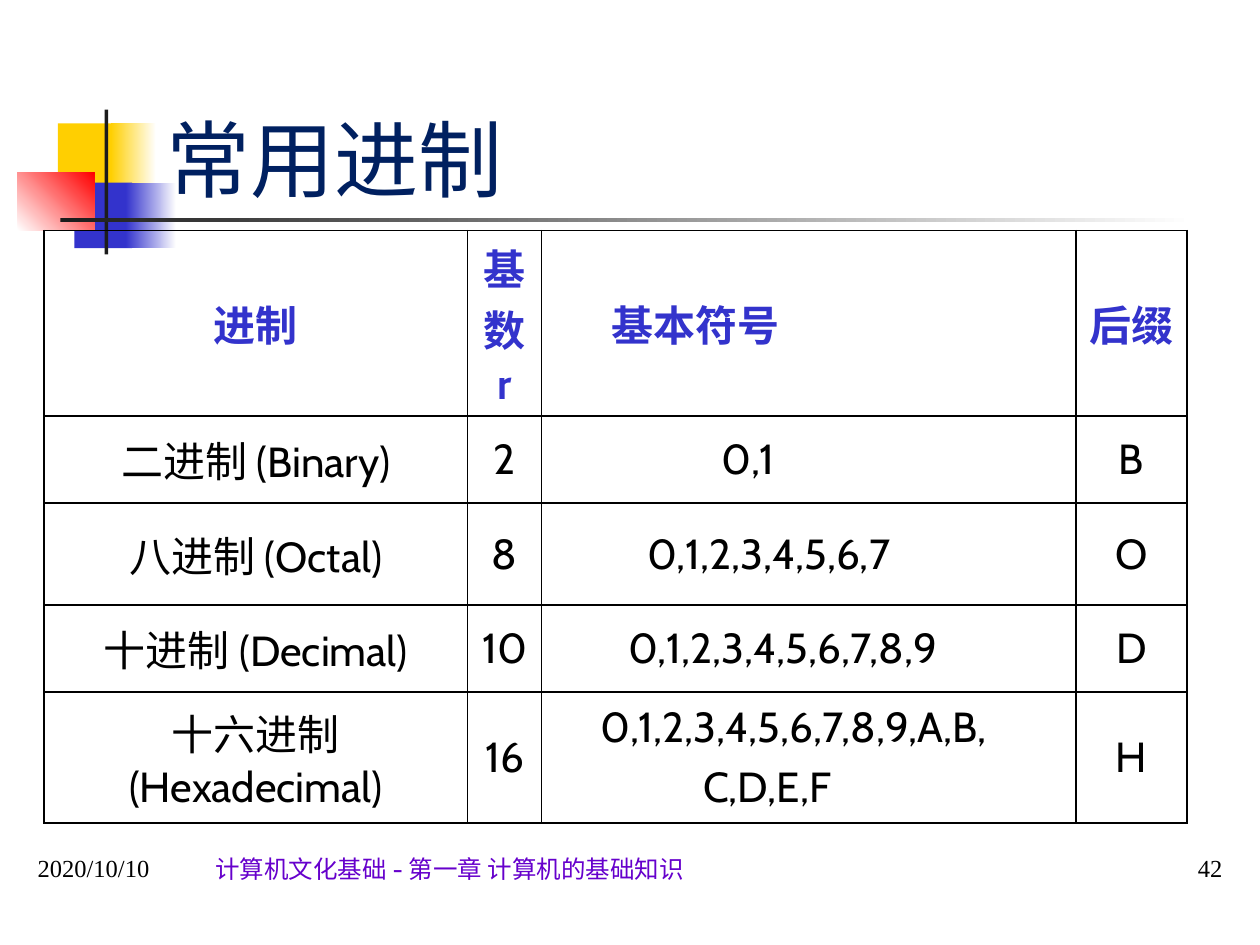
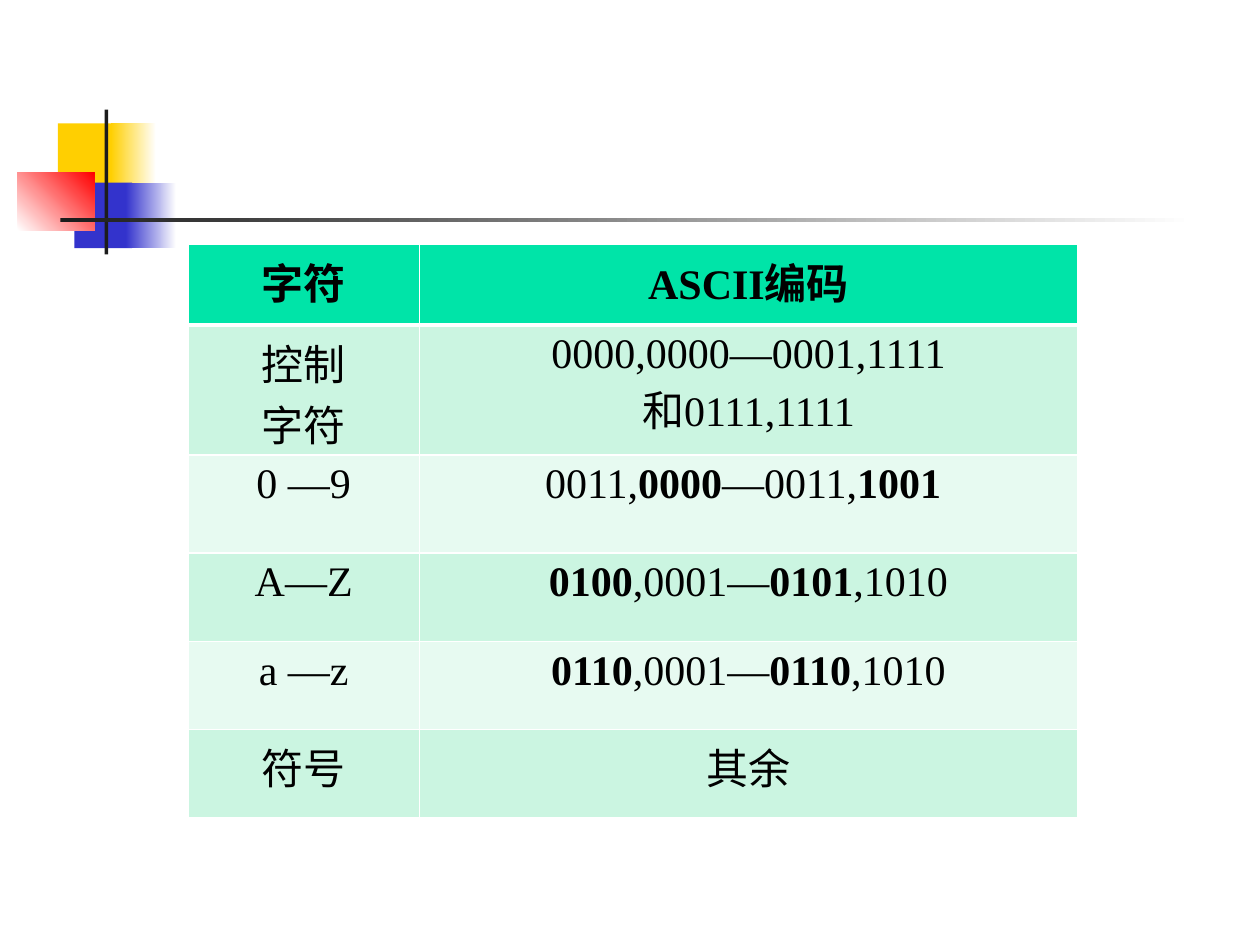
"""Two slides on number bases and ASCII codes, with shared corner blocks."""
from lxml.etree import SubElement
from pptx import Presentation
from pptx.dml.color import RGBColor
from pptx.enum.shapes import MSO_SHAPE
from pptx.enum.text import MSO_ANCHOR, PP_ALIGN
from pptx.oxml.ns import qn
from pptx.util import Inches, Pt

CJK_FONT = "Noto Sans CJK JP"
SERIF = "Times New Roman"
SANS = "Cabin"
BLACK, WHITE, BLUE, YELLOW, INK = "000000", "FFFFFF", "3333CC", "FFCF01", "1C1C1C"
LEFT, CENTER, RIGHT = PP_ALIGN.LEFT, PP_ALIGN.CENTER, PP_ALIGN.RIGHT

DECORATION = [
    ((0.46, 0.98, 0.48, 0.52), [YELLOW], 0),
    ((0.88, 0.98, 0.36, 0.52), [YELLOW, WHITE], 0),
    ((0.59, 1.45, 0.46, 0.52), [BLUE], 0),
    ((1, 1.45, 0.4, 0.52), [BLUE, WHITE], 0),
    ((0.14, 1.37, 0.61, 0.46), [WHITE, "FF0000"], 45),
    ((0.83, 0.87, 0.03, 1.15), [INK], 0),
    ((0.48, 1.73, 9, 0.03), [INK, WHITE], 0),
]

BASES = {
    "place": (0.35, 1.83, 9.06, 4.61),
    "columns": [3.36, 0.59, 4.24, 0.88],
    "rows": [1.38, 0.69, 0.81, 0.69, 1.04],
    "cells": [
        ["进制", "基数r", "基本符号", "后缀"],
        ["二进制 (Binary)", "2", "0,1", "B"],
        ["八进制 (Octal)", "8", "0,1,2,3,4,5,6,7", "O"],
        ["十进制 (Decimal)", "10", "0,1,2,3,4,5,6,7,8,9", "D"],
        ["十六进制 (Hexadecimal)", "16", "0,1,2,3,4,5,6,7,8,9,A,B,\nC,D,E,F", "H"],
    ],
    "symbol_indents": [[0.45], [1.33], [0.74], [0.59], [0.37, 1.18]],
    "font": SANS, "header_color": BLUE, "border": BLACK, "header_line": 1,
    "fills": None, "anchor": MSO_ANCHOR.MIDDLE, "space": 4.8,
}
CODES = {
    "place": (1.49, 1.94, 7.06, 4.56),
    "columns": [1.84, 5.22],
    "rows": [0.64, 1.03, 0.78, 0.7, 0.7, 0.7],
    "cells": [
        ["字符", "ASCII编码"],
        ["控制\n字符", "0000,0000—0001,1111\n和0111,1111"],
        ["0 —9", "0011,*0000*—0011,*1001 *"],
        ["A—Z", "*0100*,0001—*0101*,1010"],
        ["a —z", "*0110*,0001—*0110*,1010"],
        ["符号", "其余"],
    ],
    "symbol_indents": None,
    "font": SERIF, "header_color": BLACK, "border": WHITE, "header_line": 3,
    "fills": ["00E4A8", "CBF5E1", "E7FAF1"], "anchor": MSO_ANCHOR.TOP, "space": 0,
}


def rgb(color):
    return RGBColor.from_string(color)


def write(frame, text, size, font, color, align=LEFT, bold=False, space=0, indents=()):
    """Write lines into a frame; stretches between asterisks are bold."""
    for number, line in enumerate(text.split("\n")):
        para = frame.add_paragraph() if number else frame.paragraphs[0]
        para.alignment = align
        para.space_before = Pt(space)
        para.font.size = Pt(size)
        para.font.name = font
        para.font.bold = bold
        para.font.color.rgb = rgb(color)
        properties = para._p.get_or_add_pPr()
        SubElement(properties.find(qn("a:defRPr")), qn("a:ea"), typeface=CJK_FONT)
        if indents:
            properties.set("marL", str(Inches(indents[number])))
        for index, part in enumerate(line.split("*")):
            if part:
                span = para.add_run()
                span.text = part
                if index % 2:
                    span.font.bold = True


deck = Presentation()
deck.slide_width, deck.slide_height = Inches(10), Inches(7.5)
pages = []

for design in (BASES, CODES):
    page = deck.slides.add_slide(deck.slide_layouts[6])
    pages.append(page)
    for place, colors, angle in DECORATION:
        block = page.shapes.add_shape(MSO_SHAPE.RECTANGLE, *map(Inches, place))
        block.shadow.inherit = False
        block.line.fill.background()
        if len(colors) == 1:
            block.fill.solid()
            block.fill.fore_color.rgb = rgb(colors[0])
        else:
            block.fill.gradient()
            block.fill.gradient_angle = angle
            for stop, color in zip(block.fill.gradient_stops, colors):
                stop.color.rgb = rgb(color)

    cells = design["cells"]
    table = page.shapes.add_table(len(cells), len(cells[0]), *map(Inches, design["place"])).table
    table.first_row = table.horz_banding = False
    for column, width in zip(table.columns, design["columns"]):
        column.width = Inches(width)
    for row, height in zip(table.rows, design["rows"]):
        row.height = Inches(height)

    for r, texts in enumerate(cells):
        for c, text in enumerate(texts):
            cell = table.cell(r, c)
            cell.vertical_anchor = design["anchor"]
            for side in "LRTB":
                under_header = (r, side) in ((0, "B"), (1, "T"))
                width = design["header_line"] if under_header else 1
                line = SubElement(cell._tc.get_or_add_tcPr(), qn(f"a:ln{side}"), w=str(Pt(width)))
                fill = SubElement(line, qn("a:solidFill"))
                SubElement(fill, qn("a:srgbClr"), val=design["border"])
            if design["fills"]:
                header_fill, odd_fill, even_fill = design["fills"]
                cell.fill.solid()
                cell.fill.fore_color.rgb = rgb(header_fill if r == 0 else odd_fill if r % 2 else even_fill)
            else:
                cell.fill.background()
            indented = design["symbol_indents"] and c == 2
            write(
                cell.text_frame, text, 24, design["font"],
                BLACK if r else design["header_color"],
                align=LEFT if indented else CENTER, bold=r == 0, space=design["space"],
                indents=design["symbol_indents"][r] if indented else (),
            )

for place, text, size, font, color, align in [
    ((1.22, 0.68, 8.56, 1.02), "常用进制", 48, CJK_FONT, "002060", LEFT),
    ((0.2, 6.55, 1.26, 0.5), "2020/10/10", 14, SERIF, BLACK, LEFT),
    ((1.61, 6.56, 6.77, 0.5), "计算机文化基础 - 第一章 计算机的基础知识", 14, SANS, "6600CC", LEFT),
    ((8.54, 6.55, 1.26, 0.5), "42", 14, SERIF, BLACK, RIGHT),
]:
    box = pages[0].shapes.add_textbox(*map(Inches, place))
    box.text_frame.word_wrap = True
    box.text_frame.vertical_anchor = MSO_ANCHOR.BOTTOM
    write(box.text_frame, text, size, font, color, align)

deck.save("out.pptx")
